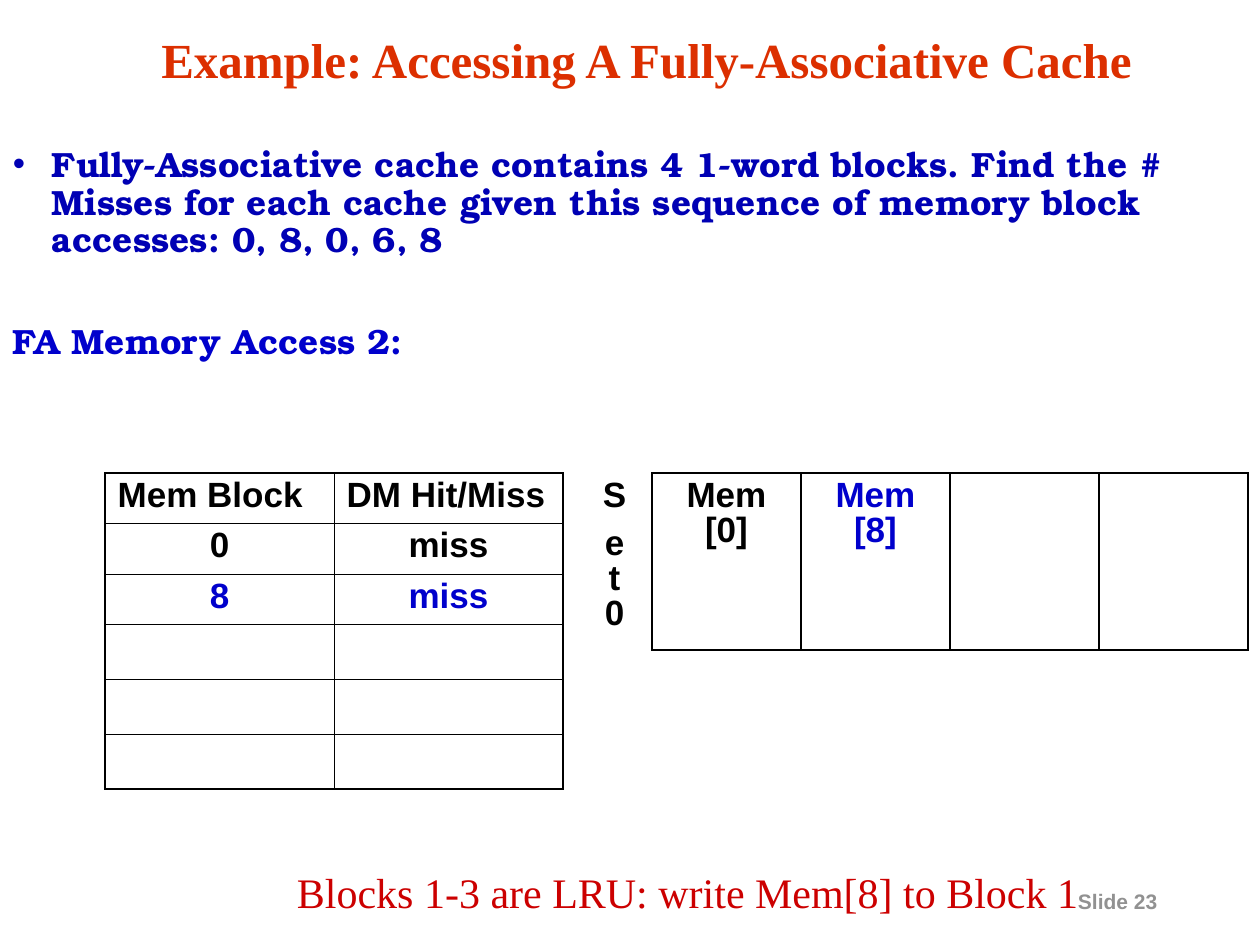
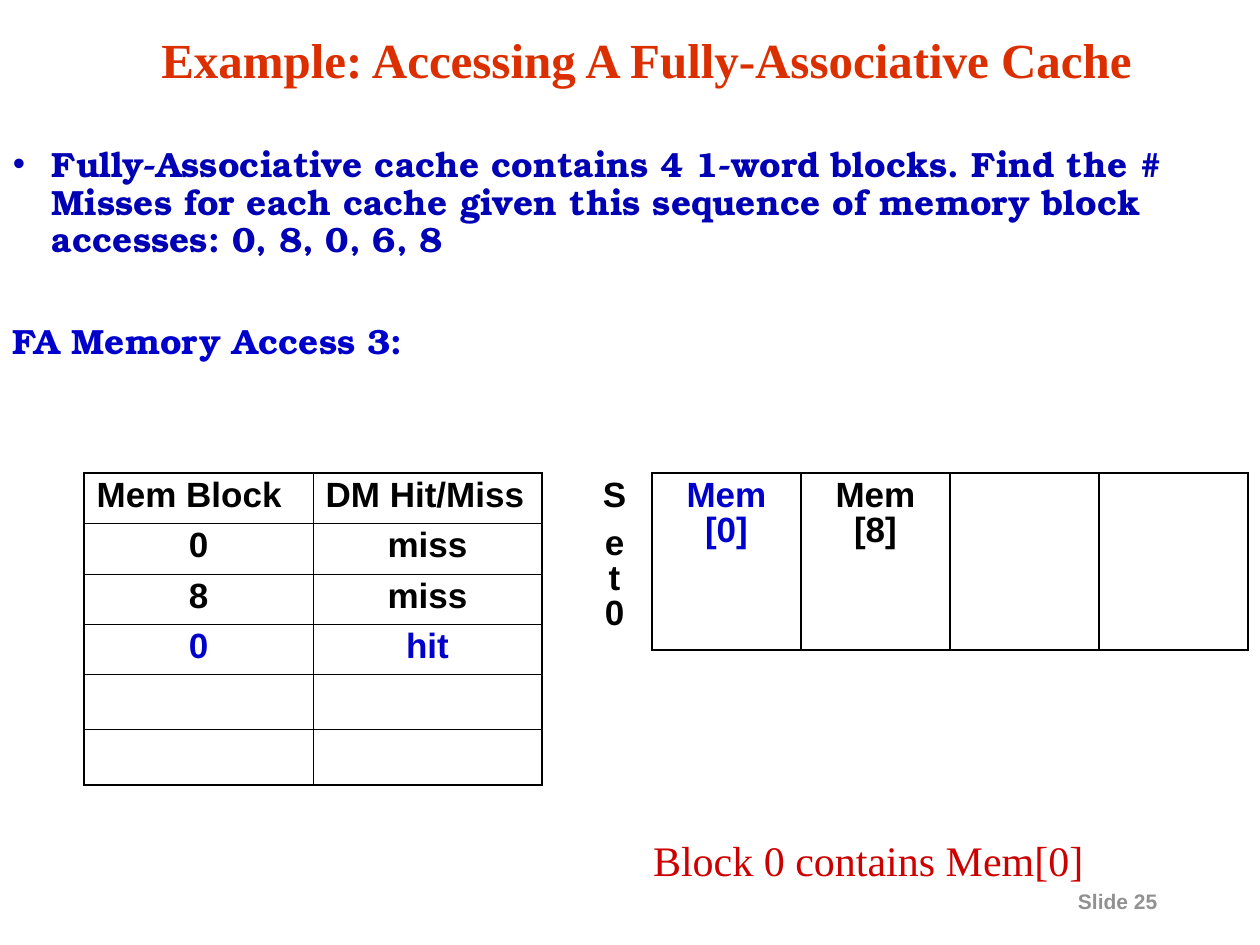
"""Two slides that step through accesses to a fully-associative cache."""
from lxml.etree import SubElement
from pptx import Presentation
from pptx.dml.color import RGBColor
from pptx.enum.text import MSO_ANCHOR as Anchor, PP_ALIGN as Align
from pptx.oxml.ns import qn
from pptx.util import Emu, Pt

BLACK, BLUE, NAVY = "000000", "0000CC", "0000B4"
ORANGE, RED, GREY = "DC2F00", "CC0000", "919191"
THICK, THIN = 1.08, 0.45

TITLE = dict(name="Times New Roman", size=28, bold=True, color=ORANGE)
BODY = dict(name="TeX Gyre Bonum", size=20, bold=True, color=NAVY)
STEP = dict(BODY, color=BLUE)
CELL = dict(name="Arial", size=20, bold=True, color=BLACK)
CURRENT = dict(CELL, color=BLUE)
NOTE = dict(name="Times New Roman", size=24, bold=False, color=RED)
FOOTER = dict(name="Arial", size=12, bold=True, color=GREY)

HEADING = "Example: Accessing A Fully-Associative Cache"
TASK = ("Fully-Associative cache contains 4 1-word blocks. Find the # Misses for each "
        "cache given this sequence of memory block accesses: 0, 8, 0, 6, 8")
HEADER = ("Mem Block", "DM Hit/Miss")
ACCESS_ROWS = 6

PAGES = [
    dict(number=23, step=2, accesses=[("0", "miss"), ("8", "miss")], access_left=105,
         current_block=1, note="Blocks 1-3 are LRU: write Mem[8] to Block 1",
         note_box=(284, 861, 840, 63)),
    dict(number=25, step=3, accesses=[("0", "miss"), ("8", "miss"), ("0", "hit")],
         access_left=84, current_block=0, note="Block 0 contains Mem[0]",
         note_box=(640, 829, 535, 63)),
]


def px(length):
    """Turn pixels into EMU."""
    return Emu(round(length * 914400 / 126))


def rgb(color):
    """Turn a hex string into a colour."""
    return RGBColor.from_string(color)


def write(para, text, style, **layout):
    """Fill a paragraph with one styled run and set its layout."""
    for name, value in layout.items():
        setattr(para, name, value)
    span = para.add_run()
    span.text = text
    formats = dict(style, size=Pt(style["size"]))
    span.font.color.rgb = rgb(formats.pop("color"))
    for name, value in formats.items():
        setattr(span.font, name, value)


def add_box(page, box, margin_top=6, anchor=Anchor.TOP):
    """Add a wrapping text box and return its frame."""
    frame = page.shapes.add_textbox(*map(px, box)).text_frame
    formats = dict(word_wrap=True, vertical_anchor=anchor, margin_left=px(13),
                   margin_right=px(13), margin_top=px(margin_top), margin_bottom=px(6))
    for name, value in formats.items():
        setattr(frame, name, value)
    return frame


def hang(para, bullet=None):
    """Give a paragraph a hanging indent and, if asked, a bullet."""
    props = para._p.get_or_add_pPr()
    props.set("marL", str(px(39)))
    props.set("indent", str(-px(39)))
    if bullet:
        color = SubElement(props, qn("a:buClr"))
        SubElement(color, qn("a:srgbClr"), val=NAVY)
        SubElement(props, qn("a:buFont"), typeface="Arial")
        SubElement(props, qn("a:buChar"), char=bullet)


def set_borders(cell, widths):
    """Draw the L, R, T and B borders; a width of 0 hides one."""
    props = cell._tc.get_or_add_tcPr()
    for side, width in zip("LRTB", widths):
        line = SubElement(props, qn(f"a:ln{side}"), w=str(Pt(width)))
        if width:
            fill = SubElement(line, qn("a:solidFill"))
            SubElement(fill, qn("a:srgbClr"), val=BLACK)
        else:
            SubElement(line, qn("a:noFill"))


def add_grid(page, left, top, widths, heights):
    """Add a plain table with the given column widths and row heights."""
    table = page.shapes.add_table(len(heights), len(widths), px(left), px(top),
                                  px(sum(widths)), px(sum(heights))).table
    table.first_row = table.horz_banding = False
    for column, width in zip(table.columns, widths):
        column.width = px(width)
    for row, height in zip(table.rows, heights):
        row.height = px(height)
    return table


def add_title(page, box):
    """Write the heading."""
    frame = add_box(page, box, anchor=Anchor.MIDDLE)
    write(frame.paragraphs[0], HEADING, TITLE, alignment=Align.CENTER, line_spacing=0.9)


def add_task(page, box, step):
    """Write the task and the name of the current step."""
    frame = add_box(page, box, margin_top=21)
    task, access = frame.paragraphs[0], frame.add_paragraph()
    hang(task, "•")
    hang(access)
    write(task, TASK, BODY, line_spacing=0.9)
    write(access, f"FA Memory Access {step}:", STEP, line_spacing=0.9, space_before=Pt(36.6))


def add_accesses(page, left, top, accesses):
    """Draw the table of accesses, with the latest one in blue."""
    rows = [HEADER, *accesses]
    rows += [("", "")] * (ACCESS_ROWS - len(rows))
    heights = [50 if block else 55 for block, _ in rows]
    table = add_grid(page, left, top, [229, 229], heights)
    last = ACCESS_ROWS - 1
    for r, row in enumerate(rows):
        for c, text in enumerate(row):
            cell = table.cell(r, c)
            edges = (c == 0, c == 1, r == 0, r == last)
            set_borders(cell, [THICK if edge else THIN for edge in edges])
            cell.fill.background()
            if text:
                write(cell.text_frame.paragraphs[0], text,
                      CURRENT if r == len(accesses) else CELL, line_spacing=0.9,
                      alignment=Align.CENTER if r else Align.LEFT)


def add_cache_set(page, left, top, current_block):
    """Draw the set label and its four blocks, with the used one in blue."""
    table = add_grid(page, left, top, [75] + [149] * 4, [177])
    label, *blocks = table.rows[0].cells
    label.margin_left = label.margin_right = px(20)
    set_borders(label, (0, THICK, 0, 0))
    label.fill.background()
    centred = dict(alignment=Align.CENTER, line_spacing=0.9)
    write(label.text_frame.paragraphs[0], "S", CELL, **centred)
    write(label.text_frame.add_paragraph(), "e t 0", CELL, space_before=Pt(7.5), **centred)
    for index, block in enumerate(blocks):
        set_borders(block, [THICK] * 4)
        block.fill.background()
    for index, text in enumerate(("Mem [0]", "Mem [8]")):
        write(blocks[index].text_frame.paragraphs[0], text,
              CURRENT if index == current_block else CELL, **centred)


def add_line(page, box, text, style):
    """Write a single line of text."""
    write(add_box(page, box).paragraphs[0], text, style)


def add_page(deck, number, step, accesses, access_left, current_block, note, note_box):
    """Build one slide of the example."""
    page = deck.slides.add_slide(deck.slide_layouts[6])
    add_line(page, (1065, 883, 183, 38), f"Slide {number}", FOOTER)
    add_title(page, (32, 21, 1229, 84))
    add_task(page, (0, 126, 1207, 346), step)
    add_cache_set(page, 577, 473, current_block)
    add_accesses(page, access_left, 473, accesses)
    add_line(page, note_box, note, NOTE)


def main():
    """Build and save the deck."""
    deck = Presentation()
    deck.slide_width, deck.slide_height = px(1260), px(945)
    for content in PAGES:
        add_page(deck, **content)
    deck.save("out.pptx")


if __name__ == "__main__":
    main()
